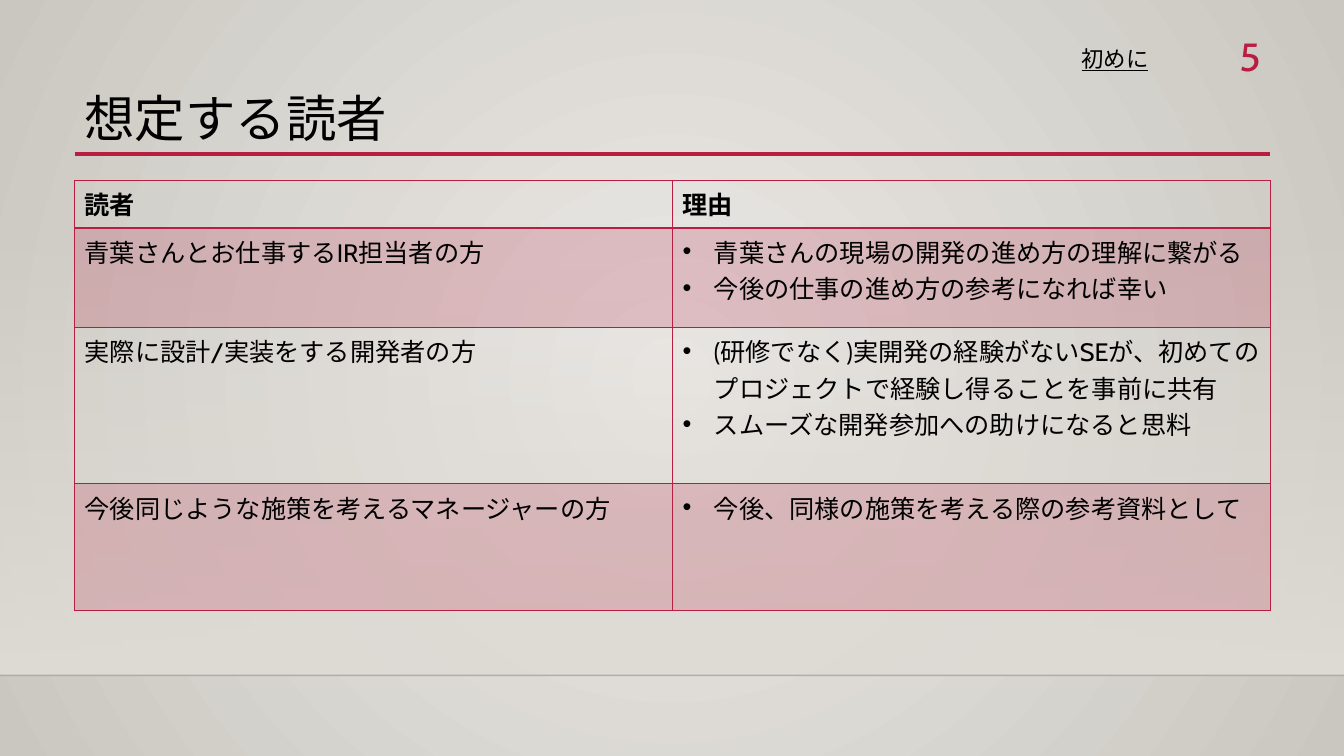
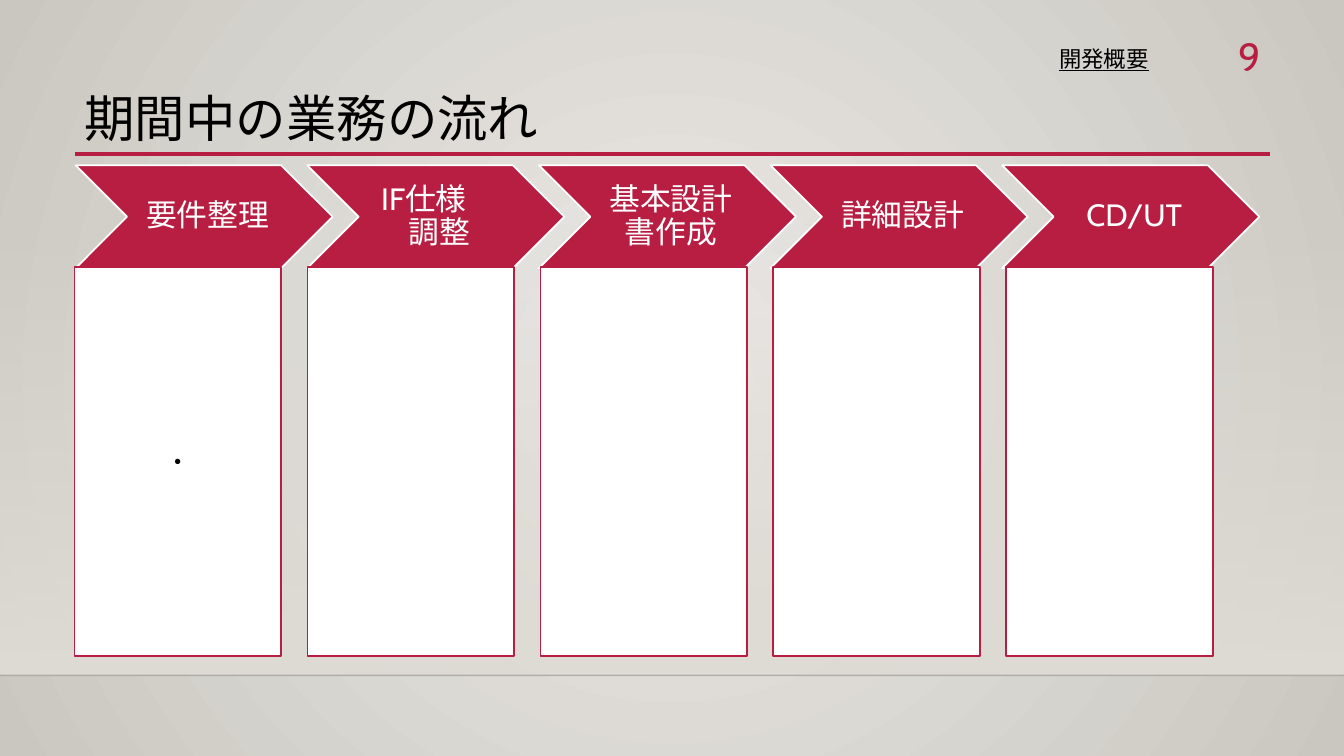
from lxml.etree import SubElement
from pptx import Presentation
from pptx.dml.color import RGBColor
from pptx.enum.shapes import MSO_CONNECTOR as Connector, MSO_SHAPE as Shape
from pptx.enum.text import MSO_ANCHOR as Anchor, PP_ALIGN as Align
from pptx.oxml.ns import qn
from pptx.util import Inches, Pt

FONT = "Cabin"
ACCENT, BLACK, WHITE = "B71E42", "000000", "FFFFFF"
BACK_INNER, BACK_OUTER, WALL, FLOOR_LINE = "ECEAE7", "CAC7C1", "DFDBD5", "000001"
PAGE_W, PAGE_H = 13.33, 7.5
LEFT, RIGHT = 0.74, 12.6
FLOOR_Y = 6.7

READERS = [
    (["青葉さんとお仕事するIR担当者の方"],
     ["青葉さんの現場の開発の進め方の理解に繋がる",
      "今後の仕事の進め方の参考になれば幸い"]),
    (["実際に設計/実装をする開発者の方"],
     ["(研修でなく)実開発の経験がないSEが、初めてのプロジェクトで経験し得ることを事前に共有",
      "スムーズな開発参加への助けになると思料"]),
    (["今後同じような施策を考えるマネージャーの方"],
     ["今後、同様の施策を考える際の参考資料として"]),
]
ROW_HEIGHTS = (0.47, 0.99, 1.55, 1.26)
PHASES = [("要件整理", "・"), ("IF仕様　調整", ""), ("基本設計書作成", ""),
          ("詳細設計", ""), ("CD/UT", "")]


def color(value):
    return RGBColor.from_string(value)


def inches(box):
    return [Inches(length) for length in box]


def add_alpha(fill_element, percent):
    SubElement(fill_element.find(qn("a:srgbClr")), qn("a:alpha"), val=str(percent * 1000))


def set_gradient(fill, owner, stops, radial=False):
    """Fill with (position, colour, opacity) stops, radial or top to bottom."""
    fill.gradient()
    gradient = next(owner.iter(qn("a:gradFill")))
    for child in list(gradient):
        gradient.remove(child)
    stop_list = SubElement(gradient, qn("a:gsLst"))
    for position, value, opacity in stops:
        stop = SubElement(stop_list, qn("a:gs"), pos=str(position * 1000))
        SubElement(stop, qn("a:srgbClr"), val=value)
        add_alpha(stop, opacity)
    if radial:
        circle = SubElement(gradient, qn("a:path"), path="circle")
        SubElement(circle, qn("a:fillToRect"), l="50000", t="50000", r="50000", b="50000")
    else:
        SubElement(gradient, qn("a:lin"), ang="5400000", scaled="0")


def write_text(frame, lines, size=18, ink=BLACK, bold=False, underline=False,
               align=Align.LEFT, anchor=None, spacing=None, bullet=False, insets=None):
    frame.word_wrap = True
    if anchor is not None:
        frame.vertical_anchor = anchor
    if insets:
        (frame.margin_left, frame.margin_top,
         frame.margin_right, frame.margin_bottom) = inches(insets)
    for index, line in enumerate([lines] if isinstance(lines, str) else lines):
        para = frame.add_paragraph() if index else frame.paragraphs[0]
        para.alignment = align
        if spacing:
            para.line_spacing = spacing
        if bullet:
            props = para._p.get_or_add_pPr()
            props.set("marL", str(Inches(0.31)))
            props.set("indent", str(-Inches(0.31)))
            SubElement(props, qn("a:buFont"), typeface="Arial")
            SubElement(props, qn("a:buChar"), char="•")
        span = para.add_run()
        span.text = line
        span.font.name, span.font.size = FONT, Pt(size)
        span.font.bold, span.font.underline = bold, underline
        span.font.color.rgb = color(ink)
        span.font._element.set("lang", "ja-JP")


def add_text(page, box, text, **style):
    write_text(page.shapes.add_textbox(*inches(box)).text_frame, text, **style)


def add_block(page, kind, box, fill, line, text="", **style):
    block = page.shapes.add_shape(kind, *inches(box))
    block.shadow.inherit = False
    block.fill.solid()
    block.fill.fore_color.rgb = color(fill)
    block.line.color.rgb = color(line)
    block.line.width = Pt(1.25)
    if text:
        write_text(block.text_frame, text, align=Align.CENTER, anchor=Anchor.MIDDLE, **style)


def add_rule(page, left, right, y, ink, width, opacity=100):
    rule = page.shapes.add_connector(Connector.STRAIGHT, *inches((left, y, right, y)))
    rule.line.color.rgb = color(ink)
    rule.line.width = Pt(width)
    add_alpha(next(rule._element.iter(qn("a:solidFill"))), opacity)
    SubElement(rule._element.spPr, qn("a:effectLst"))


def add_page(deck, title, section, number):
    """Start a page with the wall, floor line, title, section name and number."""
    page = deck.slides.add_slide(deck.slide_layouts[6])
    wall = page.shapes.add_shape(Shape.RECTANGLE, *inches((0, 2.21, PAGE_W, FLOOR_Y - 2.21)))
    wall.shadow.inherit = False
    wall.line.fill.background()
    set_gradient(wall.fill, wall._element, [(0, WALL, 0), (100, WALL, 100)])
    add_rule(page, 0, PAGE_W, FLOOR_Y, FLOOR_LINE, 1, opacity=20)
    add_rule(page, LEFT, RIGHT, 1.53, ACCENT, 2.5)
    add_text(page, (LEFT, 0.88, 9.45, 0.65), title, size=36, spacing=0.9,
             anchor=Anchor.MIDDLE, insets=(0.1, 0, 0.1, 0))
    add_text(page, (11.71, 0.27, 0.89, 0.34), number, size=28, ink=ACCENT, align=Align.RIGHT)
    add_text(page, (9.78, 0.41, 1.71, 0.34), section, size=16, underline=True,
             align=Align.RIGHT, anchor=Anchor.MIDDLE)
    return page


def format_cell(cell, lines, header, shaded, bullet, bottom_width):
    write_text(cell.text_frame, lines, bold=header, bullet=bullet)
    props = cell._tc.get_or_add_tcPr()
    for side in ("lnL", "lnR", "lnT", "lnB"):
        width = bottom_width if side == "lnB" else 1
        border = SubElement(props, qn("a:" + side), w=str(Pt(width)))
        SubElement(SubElement(border, qn("a:solidFill")), qn("a:srgbClr"), val=ACCENT)
    if shaded:
        cell.fill.solid()
        cell.fill.fore_color.rgb = color(ACCENT)
        add_alpha(props.find(qn("a:solidFill")), 20)
    else:
        cell.fill.background()


def add_reader_table(page, box):
    rows = [(["読者"], ["理由"])] + READERS
    table = page.shapes.add_table(len(rows), 2, *inches(box)).table
    table.first_row = table.horz_banding = False
    for row, height in zip(table.rows, ROW_HEIGHTS):
        row.height = Inches(height)
    for row_index, row in enumerate(rows):
        header = row_index == 0
        for column, lines in enumerate(row):
            format_cell(table.cell(row_index, column), lines, header,
                        shaded=row_index % 2 == 1, bullet=not header and column == 1,
                        bottom_width=2 if header else 1)


def add_phase_flow(page, box):
    left, top, width, height = box
    arrow_w, arrow_h, panel_w = 2.55, 1.02, 2.05
    arrow_left = left + 0.01
    arrow_step = (left + width - arrow_w - arrow_left) / (len(PHASES) - 1)
    panel_step = 2.31
    # Arrows
    for index, (name, _) in enumerate(PHASES):
        add_block(page, Shape.CHEVRON, (arrow_left + index * arrow_step, top, arrow_w, arrow_h),
                  ACCENT, WHITE, name, size=22, ink=WHITE, spacing=0.9,
                  insets=(0.1, 0.03, 0.03, 0.03))
    # Panels under the arrows
    for index, (_, detail) in enumerate(PHASES):
        add_block(page, Shape.RECTANGLE,
                  (left + index * panel_step, top + 1.01, panel_w, height - 1.01),
                  WHITE, ACCENT, detail)


def main():
    deck = Presentation()
    deck.slide_width, deck.slide_height = inches((PAGE_W, PAGE_H))
    master = deck.slide_master
    set_gradient(master.background.fill, master._element,
                 [(0, BACK_INNER, 100), (100, BACK_OUTER, 100)], radial=True)

    page = add_page(deck, "想定する読者", "初めに", "5")
    add_reader_table(page, (LEFT, 1.79, 11.86, sum(ROW_HEIGHTS)))

    page = add_page(deck, "期間中の業務の流れ", "開発概要", "9")
    add_phase_flow(page, (LEFT, 1.64, 11.75, 4.87))

    deck.save("out.pptx")


if __name__ == "__main__":
    main()
